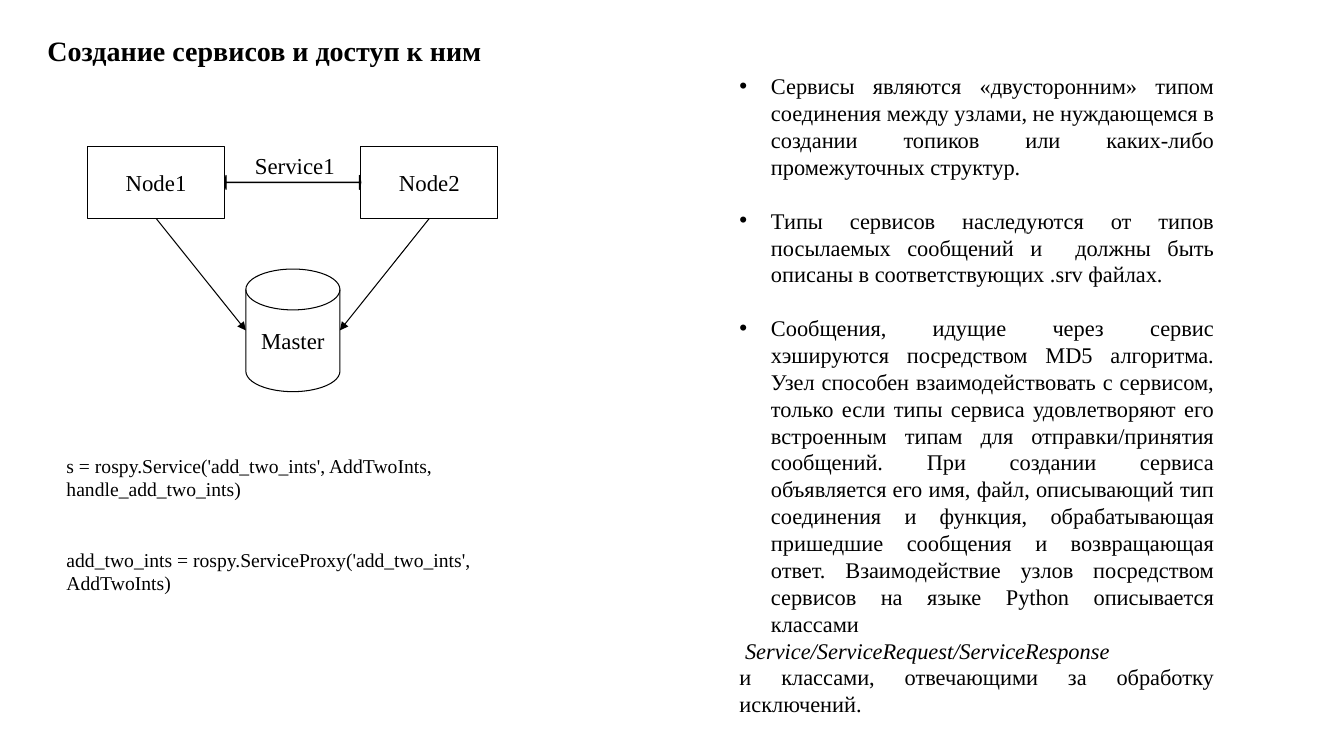
"""Build the slide on creating services and accessing them."""
from dataclasses import dataclass

from lxml import etree
from pptx import Presentation
from pptx.dml.color import RGBColor
from pptx.enum.shapes import MSO_CONNECTOR, MSO_SHAPE
from pptx.enum.text import MSO_ANCHOR, PP_ALIGN
from pptx.oxml.ns import qn
from pptx.util import Pt

RECT, DISK = MSO_SHAPE.RECTANGLE, MSO_SHAPE.FLOWCHART_MAGNETIC_DISK
DOUBLE_ARROW, STRAIGHT = MSO_SHAPE.LEFT_RIGHT_ARROW, MSO_CONNECTOR.STRAIGHT
LEFT, CENTER, JUSTIFY = PP_ALIGN.LEFT, PP_ALIGN.CENTER, PP_ALIGN.JUSTIFY
TOP, MIDDLE = MSO_ANCHOR.TOP, MSO_ANCHOR.MIDDLE
BLACK = RGBColor(0x00, 0x00, 0x00)
WHITE = RGBColor(0xFF, 0xFF, 0xFF)
FONT = "Times New Roman"
LABEL_SIZE, BODY_SIZE, CODE_SIZE = 16.3, 16, 14
LINE_WIDTH = 0.75


@dataclass
class Box:
    left: float
    top: float
    width: float
    height: float

    def lengths(self) -> list:
        return [Pt(v) for v in (self.left, self.top, self.width, self.height)]


@dataclass
class Node:
    text: str
    kind: MSO_SHAPE
    box: Box


@dataclass
class Para:
    text: str
    before: float = 0
    bullet: bool = False
    italic: bool = False
    indent: float = 0


NODE_TOP, NODE_W, NODE_H = 104.6, 97.8, 51.4
NODE1 = Node("Node1", RECT, Box(62.6, NODE_TOP, NODE_W, NODE_H))
NODE2 = Node("Node2", RECT, Box(257.8, NODE_TOP, NODE_W, NODE_H))
MASTER = Node("Master", DISK, Box(175.6, 192.2, 67.2, 87.6))

BODY = [
    Para("Сервисы являются «двусторонним» типом соединения между узлами, "
         "не нуждающемся в создании топиков или каких-либо промежуточных "
         "структур.", bullet=True),
    Para("Типы сервисов наследуются от типов посылаемых сообщений и  должны "
         "быть описаны в соответствующих .srv файлах.", 19.2, bullet=True),
    Para("Сообщения, идущие через сервис хэшируются посредством MD5 "
         "алгоритма. Узел способен взаимодействовать с сервисом, только если "
         "типы сервиса удовлетворяют его встроенным типам для "
         "отправки/принятия сообщений. При создании сервиса объявляется его "
         "имя, файл, описывающий тип соединения и функция, обрабатывающая "
         "пришедшие сообщения и возвращающая ответ. Взаимодействие узлов "
         "посредством сервисов на языке Python описывается классами",
         19.2, bullet=True),
    Para("Service/ServiceRequest/ServiceResponse", italic=True, indent=4),
    Para("и классами, отвечающими за обработку исключений."),
]
CODE = [
    Para("s = rospy.Service('add_two_ints', AddTwoInts, handle_add_two_ints)"),
    Para("add_two_ints = rospy.ServiceProxy('add_two_ints', AddTwoInts)", 33.6),
]


def write(s, paras: list[Para], *, size: float, align=LEFT, anchor=TOP,
          bold: bool = False, margins: tuple = (0, 0), wrap: bool = True) -> None:
    """Fill a shape's text frame with formatted paragraphs."""
    tf = s.text_frame
    tf.word_wrap = wrap
    tf.vertical_anchor = anchor
    tf.margin_left = tf.margin_right = Pt(margins[0])
    tf.margin_top = tf.margin_bottom = Pt(margins[1])
    for i, para in enumerate(paras):
        p = tf.add_paragraph() if i else tf.paragraphs[0]
        p.alignment = align
        p.line_spacing = 1.0
        p.space_before = Pt(para.before)
        p.space_after = Pt(0)
        pPr = p._p.get_or_add_pPr()
        hang = 22.5 if para.bullet else 0
        pPr.set("marL", str(Pt(hang or para.indent)))
        pPr.set("indent", str(-Pt(hang)))
        if para.bullet:
            etree.SubElement(pPr, qn("a:buFont")).set("typeface", "Arial")
            etree.SubElement(pPr, qn("a:buChar")).set("char", "•")
        else:
            etree.SubElement(pPr, qn("a:buNone"))
        r = p.add_run()
        r.text = para.text
        r.font.name = FONT
        r.font.size = Pt(size)
        r.font.bold = bold
        r.font.italic = para.italic
        r.font.color.rgb = BLACK


def add_shape(slide, kind: MSO_SHAPE, box: Box, fill: RGBColor):
    """Add an outlined preset shape without a shadow."""
    s = slide.shapes.add_shape(kind, *box.lengths())
    s.shadow.inherit = False
    s.fill.solid()
    s.fill.fore_color.rgb = fill
    s.line.color.rgb = BLACK
    s.line.width = Pt(LINE_WIDTH)
    return s


def add_node(slide, node: Node) -> None:
    """Add a labelled diagram node."""
    s = add_shape(slide, node.kind, node.box, WHITE)
    write(s, [Para(node.text)], size=LABEL_SIZE, align=CENTER, anchor=MIDDLE,
          margins=(6.5, 3), wrap=False)


def add_arrow(slide, source: Box, end_x: float, end_y: float) -> None:
    """Add an arrow from the bottom centre of a box to a point."""
    start = (source.left + source.width / 2, source.top + source.height)
    s = slide.shapes.add_connector(
        STRAIGHT, *(Pt(v) for v in (*start, end_x, end_y)))
    s.line.color.rgb = BLACK
    s.line.width = Pt(LINE_WIDTH)
    etree.SubElement(s.line._get_or_add_ln(), qn("a:tailEnd")).set("type", "triangle")
    etree.SubElement(s._element.spPr, qn("a:effectLst"))


def add_text(slide, box: Box, paras: list[Para], **formatting) -> None:
    """Add a text box with formatted paragraphs."""
    write(slide.shapes.add_textbox(*box.lengths()), paras, **formatting)


def main() -> None:
    """Create and save the presentation."""
    prs = Presentation()
    prs.slide_width, prs.slide_height = Pt(960), Pt(540)
    slide = prs.slides.add_slide(prs.slide_layouts[5])

    title = slide.shapes.title
    title.left, title.top, title.width, title.height = Box(22.3, 20.2, 333.4, 31.7).lengths()
    write(title, [Para("Создание сервисов и доступ к ним")], size=20,
          align=CENTER, anchor=MIDDLE, bold=True)

    for node in (NODE2, NODE1):
        add_node(slide, node)
    service_left = NODE1.box.left + NODE_W
    service = add_shape(slide, DOUBLE_ARROW,
                        Box(service_left, 125.3, NODE2.box.left - service_left, 10), BLACK)
    service.adjustments[0] = 0.036
    service.adjustments[1] = 0.108
    add_node(slide, MASTER)

    disk = MASTER.box
    disk_middle = disk.top + disk.height / 2
    add_arrow(slide, NODE2.box, disk.left + disk.width, disk_middle)
    add_arrow(slide, NODE1.box, disk.left, disk_middle)

    add_text(slide, Box(175.6, NODE_TOP, 76.3, 24.5), [Para("Service1")],
             size=LABEL_SIZE, margins=(6.5, 3.5))
    add_text(slide, Box(528.2, 51.8, 339.1, 393.8), BODY, size=BODY_SIZE,
             align=JUSTIFY)
    add_text(slide, Box(47.5, 324, 290.9, 182.2), CODE, size=CODE_SIZE)
    prs.save("out.pptx")


if __name__ == "__main__":
    main()
